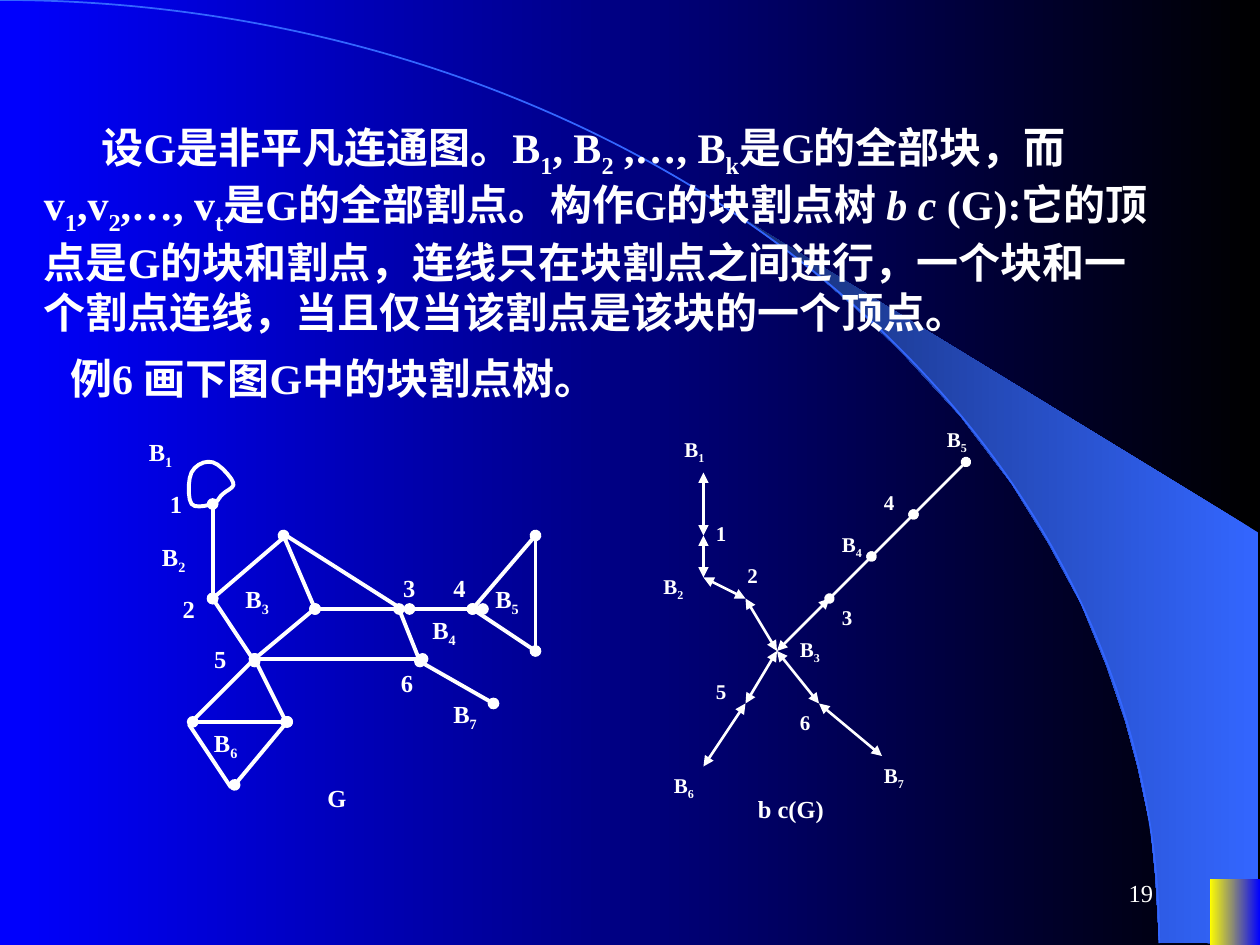
"""Build a slide that defines the block-cutpoint tree and shows an example graph."""
from itertools import pairwise

from lxml.etree import SubElement
from pptx import Presentation
from pptx.dml.color import RGBColor as Rgb
from pptx.enum.shapes import MSO_CONNECTOR as Connector, MSO_SHAPE as Preset
from pptx.enum.text import MSO_ANCHOR as Anchor, PP_ALIGN as Align
from pptx.oxml.ns import qn
from pptx.util import Inches, Pt

COLORS = {"white": "FFFFFF", "black": "000000", "blue": "0000FF",
          "sky": "3366FF", "navy": "172F75", "yellow": "FFFF00"}
CELL = Inches(1) / 12

deck = Presentation()
deck.slide_width, deck.slide_height = Inches(10), Inches(7.5)
page = deck.slides.add_slide(deck.slide_layouts[6])


def blend(fill, first, last):
    """Fill with a gradient that runs from right to left."""
    fill.gradient()
    fill.gradient_angle = 180
    for stop, name, place in zip(fill.gradient_stops, (first, last), (0, 1)):
        stop.color.rgb = Rgb.from_string(COLORS[name])
        stop.position = place


def write(text, column, row, columns, rows, size=14, bold=True, indent=0,
          align=Align.LEFT, anchor=Anchor.TOP):
    """Add a text box; pieces split by | are subscript after _ and italic after *."""
    box = page.shapes.add_textbox(*(round(n * CELL) for n in (column, row, columns, rows)))
    frame = box.text_frame
    frame.word_wrap = True
    frame.vertical_anchor = anchor
    para = frame.paragraphs[0]
    para.alignment = align
    if indent:
        para._p.get_or_add_pPr().set("indent", str(round(indent * CELL)))
    for piece in text.split("|"):
        span = para.add_run()
        span.text = piece.lstrip("_*")
        span.font.name = "Times New Roman"
        span.font.size = Pt(size)
        span.font.bold = bold
        span.font.italic = piece.startswith("*")
        span.font.color.rgb = Rgb.from_string(COLORS["white"])
        if piece.startswith("_"):
            span.font._element.set("baseline", "-25000")


blend(page.background.fill, "black", "blue")

crescent_points = [
    (9.2, 7.48), (9.99, 7.49), (9.99, 4.23), (5.89, 1.73), (6.24, 1.99), (6.53, 2.22),
    (6.85, 2.5), (7.16, 2.8), (7.62, 3.3), (8.03, 3.84), (8.32, 4.31), (8.58, 4.79),
    (8.78, 5.28), (8.93, 5.72), (9.03, 6.09), (9.13, 6.56), (9.17, 6.96)]
loop_curves = [
    [(1.69, 4), (1.65, 4.01), (1.55, 4.04), (1.52, 4)],
    [(1.52, 4), (1.49, 3.96), (1.49, 3.81), (1.52, 3.75)],
    [(1.52, 3.75), (1.55, 3.69), (1.63, 3.65), (1.69, 3.67)],
    [(1.69, 3.67), (1.74, 3.68), (1.84, 3.79), (1.85, 3.83)],
    [(1.85, 3.83), (1.87, 3.87), (1.8, 3.89), (1.77, 3.92)],
    [(1.77, 3.92), (1.74, 3.94), (1.73, 3.99), (1.69, 4)]]
loop_points = [
    tuple(sum(w * n for w, n in zip(
        ((1 - t) ** 3, 3 * t * (1 - t) ** 2, 3 * t * t * (1 - t), t ** 3), axis))
        for axis in zip(*curve))
    for curve in loop_curves for t in (0, 0.2, 0.4, 0.6, 0.8)]

outlines = []
for points in (crescent_points, loop_points):
    start, *others = [(Inches(x), Inches(y)) for x, y in points]
    builder = page.shapes.build_freeform(*start)
    builder.add_line_segments(others, close=True)
    outlines.append(builder.convert_to_shape())
crescent, loop = outlines
blend(crescent.fill, "sky", "navy")
crescent.line.fill.background()
loop.fill.background()
loop.line.color.rgb = Rgb.from_string(COLORS["white"])
loop.line.width = Pt(2.25)

arc = page.shapes.add_shape(Preset.ARC, Inches(-9.2), 0, Inches(18.4), Inches(14.97))
arc.fill.background()
arc.line.color.rgb = Rgb.from_string(COLORS["sky"])
arc.line.width = Pt(1)
corner = page.shapes.add_shape(
    Preset.RECTANGLE, Inches(9.6), Inches(6.98), Inches(0.4), Inches(0.52))
blend(corner.fill, "blue", "yellow")
corner.line.fill.background()
for shape in (crescent, loop, arc, corner):
    shape.shadow.inherit = False

write("设G是非平凡连通图。B|_1|, B|_2| ,…, B|_k|是G的全部块，而v|_1|,v|_2|,…, v|_t|"
      "是G的全部割点。构作G的块割点树 |*b c |(G):它的顶点是G的块和割点，"
      "连线只在块割点之间进行，一个块和一个割点连线，当且仅当该割点是该块的一个顶点。",
      3, 11, 108, 21.75, size=24, indent=5.5)
write("例6 画下图G中的块割点树。", 0, 33, 101, 6, size=24, indent=5.5)

chains = [
    (2.25, None, [
        [(38, 58), (40, 63)],
        [(18, 69), (22, 75)],
        [(20.25, 57), (27.25, 51), (38.25, 58)],
        [(30.25, 57.75), (24.25, 62.75), (18.25, 68.75)],
        [(51, 51), (51, 62)]]),
    (2.25, "oval", [
        [(39, 58), (46, 58)],
        [(27, 51), (30, 58), (38, 58)],
        [(20.25, 48), (20.25, 57), (24.25, 63)],
        [(40.25, 62.75), (24.25, 62.75), (27.25, 68.75)],
        [(40, 63), (47, 67)],
        [(51, 51), (45, 58), (51, 62)],
        [(18.35, 68.75), (27.35, 68.75), (22.35, 74.75)]]),
    (1.5, "triangle", [
        [(67, 45), (67, 51), (67, 55), (71, 57), (74, 62), (71, 67), (67, 73)],
        [(74, 62), (78, 67), (84, 72)],
        [(74, 62), (79, 57)]]),
    (1.5, "oval", [[(79, 57), (83, 53), (87, 49), (92, 44)]])]
for width, ending, group in chains:
    for begin, end in (pair for chain in group for pair in pairwise(chain)):
        edge = page.shapes.add_connector(
            Connector.STRAIGHT, *(round(n * CELL) for n in begin + end))
        edge.line.color.rgb = Rgb.from_string(COLORS["white"])
        edge.line.width = Pt(width)
        if ending:
            for tag in ("a:headEnd", "a:tailEnd"):
                SubElement(edge.line._get_or_add_ln(), qn(tag), type=ending)
        SubElement(edge._element.spPr, qn("a:effectLst"))

graph_labels = [
    ("1", 15, 46), ("2", 16.2, 56), ("3", 37.2, 54), ("4", 42, 54), ("5", 19.2, 60.75),
    ("6", 37, 63), ("B|_1", 13, 41), ("B|_2", 14.25, 51), ("B|_3", 22.2, 55),
    ("B|_4", 40, 58), ("B|_5", 46, 55), ("B|_6", 19.2, 68.75), ("B|_7", 42, 66)]
tree_labels = [
    ("1", 67, 49), ("2", 70, 53), ("3", 79, 57), ("4", 83, 46), ("5", 67, 64),
    ("6", 75, 67), ("B|_1", 64, 41), ("B|_2", 62, 54), ("B|_3", 75, 60),
    ("B|_4", 79, 50), ("B|_5", 89, 40), ("B|_6", 63, 73), ("B|_7", 83, 72)]
for labels, size, block_width in ((graph_labels, 14, 6.2), (tree_labels, 12, 5.2)):
    for text, column, row in labels:
        write(text, column, row, block_width if "B" in text else 5.2, 4, size=size)

write("G", 30, 74, 8, 4)
write("b c(G)", 71, 75, 12, 4)
write("19", 86, 82, 25, 6, bold=False, align=Align.RIGHT, anchor=Anchor.MIDDLE)

deck.save("out.pptx")
